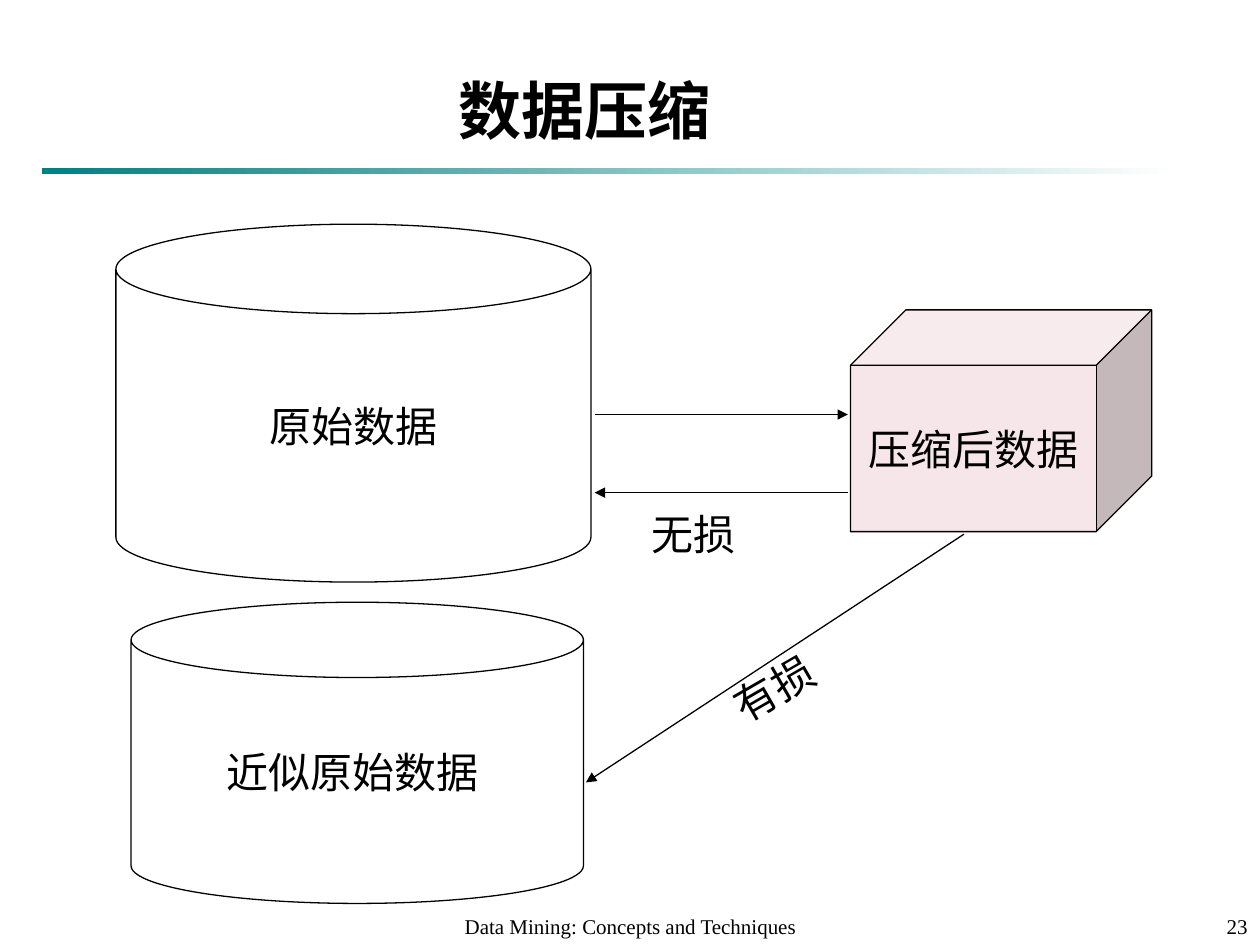
from typing import NamedTuple

from lxml import etree
from pptx import Presentation
from pptx import util as u
from pptx.dml.color import RGBColor
from pptx.enum import shapes, text
from pptx.oxml.ns import qn

COLORS = {"ink": "000000", "paper": "FFFFFF", "teal": "008080", "rose": "F6E6EA"}
FONT = "Times New Roman"
COLUMNS, ROWS = 100, 75
WIDTH, HEIGHT = u.Inches(10), u.Inches(7.5)


class Area(NamedTuple):
    """Left, top, width and height in grid columns and rows."""
    column: float
    row: float
    columns: float
    rows: float


class Store(NamedTuple):
    kind: shapes.MSO_SHAPE
    label: str
    area: Area
    fill: str


class Arrow(NamedTuple):
    start: tuple[float, float]
    end: tuple[float, float]


class Label(NamedTuple):
    words: str
    area: Area
    size: int = 24
    align: text.PP_ALIGN = text.PP_ALIGN.LEFT
    anchor: text.MSO_ANCHOR = text.MSO_ANCHOR.TOP
    wrap: bool = False
    rotation: float = 0


TITLE_AREA = Area(20, 5, 52.7, 6.7)
RULE_AREA = Area(3.3, 13.3, 90, 0.5)
STORES = [
    Store(shapes.MSO_SHAPE.CAN, "原始数据", Area(9.2, 17.8, 37.7, 28.4), "paper"),
    Store(shapes.MSO_SHAPE.CUBE, "压缩后数据", Area(67.5, 24.6, 23.9, 17.6), "rose"),
    Store(shapes.MSO_SHAPE.CAN, "近似原始数据 ", Area(10.4, 47.8, 35.9, 23.9), "paper"),
]
ARROWS = [
    Arrow((47.2, 32.9), (67.3, 32.9)),
    Arrow((67.3, 39.1), (47.2, 39.1)),
    Arrow((76.5, 42.4), (46.5, 62.1)),
]
LABELS = [
    Label("无损", Area(50.7, 39.9, 8.6, 5)),
    Label("有损", Area(57.1, 52.1, 8.6, 5), rotation=330),
    Label("Data Mining: Concepts and Techniques", Area(34.2, 70.8, 31.7, 4.2), 12,
          text.PP_ALIGN.CENTER, text.MSO_ANCHOR.BOTTOM, True),
    Label("23", Area(79.2, 70.8, 20.8, 4.2), 12,
          text.PP_ALIGN.RIGHT, text.MSO_ANCHOR.BOTTOM, True),
]


def color(name: str) -> RGBColor:
    return RGBColor.from_string(COLORS[name])


def x(columns: float) -> int:
    return round(WIDTH * columns / COLUMNS)


def y(rows: float) -> int:
    return round(HEIGHT * rows / ROWS)


def box(area: Area) -> tuple[int, int, int, int]:
    return x(area.column), y(area.row), x(area.columns), y(area.rows)


def write(shape, words: str, size: int, align, anchor, wrap: bool, bold: bool = False) -> None:
    frame = shape.text_frame
    frame.text = words
    frame.auto_size = text.MSO_AUTO_SIZE.NONE
    frame.word_wrap = wrap
    frame.vertical_anchor = anchor
    paragraph = frame.paragraphs[0]
    paragraph.alignment = align
    font = paragraph.font
    font.name, font.size, font.bold = FONT, u.Pt(size), bold
    font.color.rgb = color("ink")


def add_title(slide, words: str) -> None:
    title = slide.shapes.title
    title.left, title.top, title.width, title.height = box(TITLE_AREA)
    write(title, words, 36, text.PP_ALIGN.CENTER, text.MSO_ANCHOR.BOTTOM, True, True)
    frame = title.text_frame
    frame.margin_left = frame.margin_right = frame.margin_top = frame.margin_bottom = 0


def add_rule(slide) -> None:
    """Draw the bar under the title, fading from teal to the background."""
    rule = slide.shapes.add_shape(shapes.MSO_SHAPE.RECTANGLE, *box(RULE_AREA))
    rule.shadow.inherit = False
    rule.line.fill.background()
    rule.fill.gradient()
    rule.fill.gradient_angle = 0
    for stop, name, position in zip(rule.fill.gradient_stops, ("teal", "paper"), (0, 1)):
        stop.color.rgb = color(name)
        stop.position = position


def add_store(slide, store: Store) -> None:
    shape = slide.shapes.add_shape(store.kind, *box(store.area))
    shape.shadow.inherit = False
    shape.adjustments[0] = 0.25
    shape.fill.solid()
    shape.fill.fore_color.rgb = color(store.fill)
    shape.line.color.rgb = color("ink")
    shape.line.width = u.Pt(0.75)
    write(shape, store.label, 24, text.PP_ALIGN.CENTER, text.MSO_ANCHOR.MIDDLE, False)


def add_arrow(slide, arrow: Arrow) -> None:
    (start_column, start_row), (end_column, end_row) = arrow
    connector = slide.shapes.add_connector(
        shapes.MSO_CONNECTOR.STRAIGHT,
        x(start_column), y(start_row), x(end_column), y(end_row))
    connector.line.color.rgb = color("ink")
    connector.line.width = u.Pt(0.75)
    properties = connector._element.spPr
    etree.SubElement(properties.find(qn("a:ln")), qn("a:tailEnd"), type="triangle")
    etree.SubElement(properties, qn("a:effectLst"))


def add_label(slide, label: Label) -> None:
    shape = slide.shapes.add_textbox(*box(label.area))
    shape.rotation = label.rotation
    write(shape, label.words, label.size, label.align, label.anchor, label.wrap)


def main() -> None:
    presentation = Presentation()
    presentation.slide_width, presentation.slide_height = WIDTH, HEIGHT
    slide = presentation.slides.add_slide(presentation.slide_layouts.get_by_name("Title Only"))
    add_rule(slide)
    add_title(slide, "数据压缩")
    for store in STORES:
        add_store(slide, store)
    for arrow in ARROWS:
        add_arrow(slide, arrow)
    for label in LABELS:
        add_label(slide, label)
    presentation.save("out.pptx")


if __name__ == "__main__":
    main()
